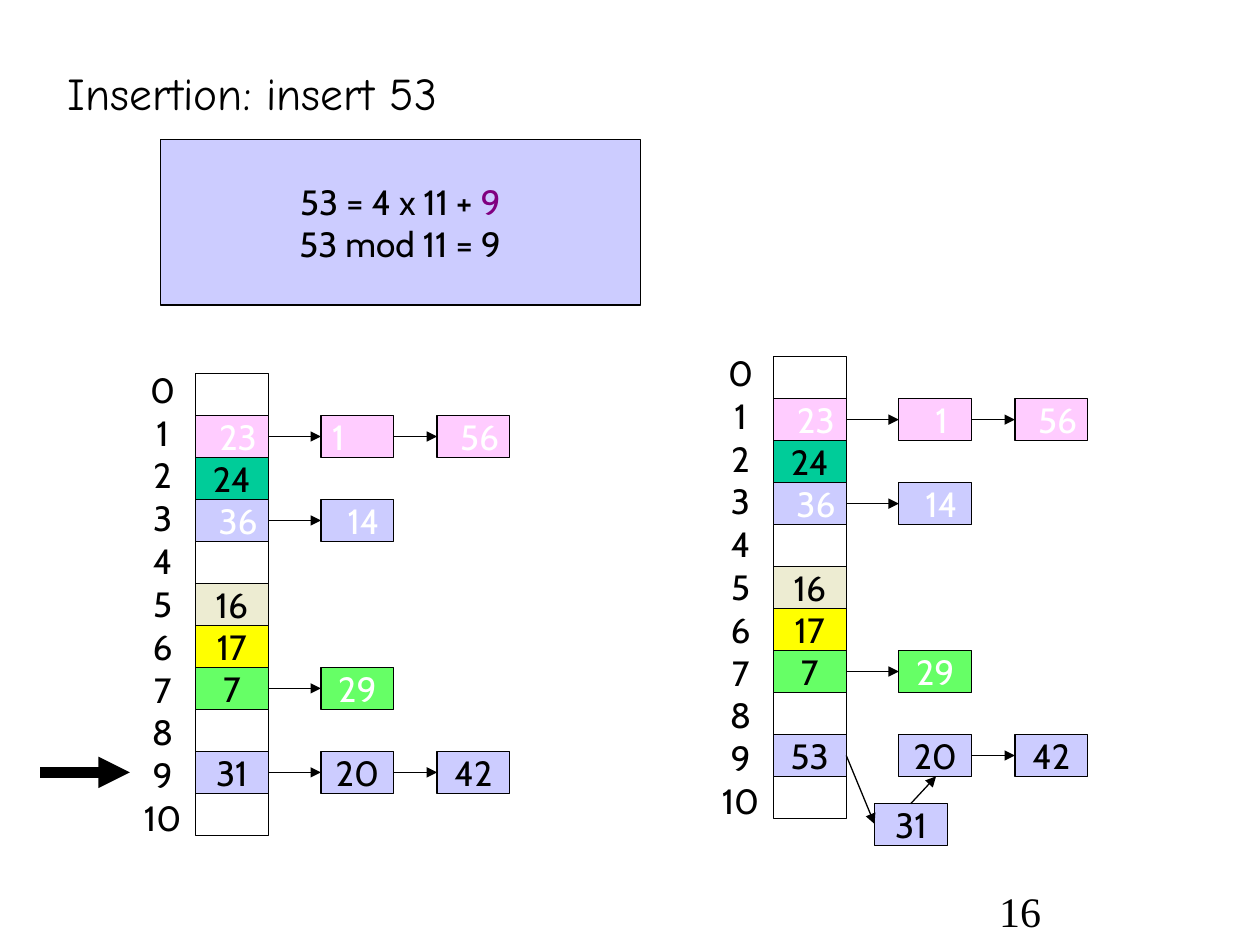
from dataclasses import dataclass

from lxml import etree
from pptx import Presentation
from pptx import util as u
from pptx.dml.color import RGBColor
from pptx.enum import shapes, text
from pptx.oxml.ns import qn


@dataclass(frozen=True)
class Theme:
    black: str = "000000"
    white: str = "FFFFFF"
    purple: str = "800080"
    lavender: str = "CCCCFF"
    pink: str = "FFCCFF"
    teal: str = "00CC99"
    beige: str = "EDECD2"
    yellow: str = "FFFF00"
    green: str = "66FF66"
    body_font: str = "Cabin"
    title_font: str = "Comic Neue"
    number_font: str = "Times New Roman"
    body_size: int = 20
    title_size: int = 26
    number_size: int = 24
    thin: float = 0.75
    thick: float = 6


# Lengths in centimetres; insets are left, top, right, bottom
CELL_WIDTH, CELL_HEIGHT = 1.47, 0.85
COLUMN_HEIGHT = 9.31
ROWS = 11
PITCH = COLUMN_HEIGHT / ROWS
CHAIN_OFFSETS = (0, 2.53, 4.87)
EVEN = (0.25, 0.13, 0.25, 0.13)
SHIFTED_RIGHT = (0.25, 0.13, 0, 0.13)
SHIFTED_LEFT = (0.25, 0.13, 1.02, 0.13)


class SlideBuilder:
    def __init__(self, slide, theme):
        self.slide = slide
        self.theme = theme
        self.shapes = slide.shapes

    def begin_group(self):
        self.shapes = self.slide.shapes.add_group_shape().shapes

    def end_group(self):
        self.shapes = self.slide.shapes

    def set_text(self, shape, lines, font=None, size=None, insets=EVEN, wrap=False,
                 align=text.PP_ALIGN.CENTER, anchor=text.MSO_ANCHOR.MIDDLE, spacing=None):
        """Fill a shape with lines, each a list of (wording, colour) runs."""
        frame = shape.text_frame
        frame.word_wrap = wrap
        frame.vertical_anchor = anchor
        (frame.margin_left, frame.margin_top,
         frame.margin_right, frame.margin_bottom) = map(u.Cm, insets)
        for number, line in enumerate(lines):
            paragraph = frame.add_paragraph() if number else frame.paragraphs[0]
            paragraph.alignment = align
            if spacing:
                paragraph.line_spacing = spacing
            for wording, colour in line:
                run = paragraph.add_run()
                run.text = wording
                run.font.name = font or self.theme.body_font
                run.font.size = u.Pt(size or self.theme.body_size)
                run.font.color.rgb = RGBColor.from_string(colour)

    def text_box(self, left, top, width, height, lines, **style):
        shape = self.shapes.add_textbox(*map(u.Cm, (left, top, width, height)))
        self.set_text(shape, lines, **style)
        return shape

    def box(self, left, top, width, height, fill=None, lines=(), insets=EVEN):
        shape = self.shapes.add_shape(shapes.MSO_SHAPE.RECTANGLE,
                                      *map(u.Cm, (left, top, width, height)))
        shape.shadow.inherit = False
        if fill:
            shape.fill.solid()
            shape.fill.fore_color.rgb = RGBColor.from_string(fill)
        else:
            shape.fill.background()
        shape.line.color.rgb = RGBColor.from_string(self.theme.black)
        shape.line.width = u.Pt(self.theme.thin)
        self.set_text(shape, lines, insets=insets)

    def cell(self, left, top, value, fill, colour=None, insets=EVEN):
        self.box(left, top, CELL_WIDTH, CELL_HEIGHT, fill,
                 [[(value, colour or self.theme.black)]], insets)

    def arrow(self, start, end, width=None):
        connector = self.shapes.add_connector(shapes.MSO_CONNECTOR.STRAIGHT,
                                              *map(u.Cm, (*start, *end)))
        connector.line.color.rgb = RGBColor.from_string(self.theme.black)
        connector.line.width = u.Pt(width or self.theme.thin)
        properties = connector._element.spPr
        outline = properties.find(qn("a:ln"))
        etree.SubElement(outline, qn("a:tailEnd"), type="triangle")
        etree.SubElement(properties, qn("a:effectLst"))

    def hash_table(self, left, top, chains, unlinked=()):
        """Draw the buckets, their chains and the row numbers."""
        self.box(left, top, CELL_WIDTH, COLUMN_HEIGHT)
        for row, chain in chains.items():
            row_top = top + row * PITCH
            middle = row_top + PITCH / 2
            for place, node in enumerate(chain):
                node_left = left + CHAIN_OFFSETS[place]
                self.cell(node_left, row_top, *node)
                if place and (row, place) not in unlinked:
                    previous_right = left + CHAIN_OFFSETS[place - 1] + CELL_WIDTH
                    self.arrow((previous_right, middle), (node_left, middle))
        labels = [[(str(row), self.theme.black)] for row in range(ROWS)]
        shape = self.text_box(left - 1.33, top - 0.25, 1.34, 9.75, labels,
                              insets=(0.28, 0.13, 0.28, 0.13),
                              anchor=text.MSO_ANCHOR.TOP, spacing=1.02)
        shape.text_frame.auto_size = text.MSO_AUTO_SIZE.SHAPE_TO_FIT_TEXT


def make_chains(theme, one_insets, last_chain):
    def pale(value, fill, insets=SHIFTED_RIGHT):
        return value, fill, theme.white, insets

    return {
        1: [pale("23", theme.pink), pale("1", theme.pink, one_insets),
            pale("56", theme.pink)],
        2: [("24", theme.teal)],
        3: [pale("36", theme.lavender), pale("14", theme.lavender)],
        5: [("16", theme.beige)],
        6: [("17", theme.yellow)],
        7: [("7", theme.green), pale("29", theme.green, (0, 0, 0, 0))],
        9: [(value, theme.lavender) for value in last_chain],
    }


def main():
    theme = Theme()
    presentation = Presentation()
    presentation.slide_width, presentation.slide_height = u.Cm(25.4), u.Cm(19.05)
    slide = presentation.slides.add_slide(presentation.slide_layouts[6])
    builder = SlideBuilder(slide, theme)

    # Title and slide number
    corner = dict(wrap=True, align=text.PP_ALIGN.LEFT, anchor=text.MSO_ANCHOR.BOTTOM)
    builder.text_box(19.89, 18.21, 5.28, 0.79, [[("16", theme.black)]],
                     font=theme.number_font, size=theme.number_size, **corner)
    builder.text_box(1.12, 0.64, 21.59, 1.9, [[("Insertion: insert 53", theme.black)]],
                     font=theme.title_font, size=theme.title_size, **corner)

    # Hash calculation
    builder.box(3.23, 2.82, 9.68, 3.33, theme.lavender,
                [[("53 = 4 x 11 + ", theme.black), ("9", theme.purple)],
                 [("53 mod 11 = 9", theme.black)]])

    # Table before the insertion, with a pointer to row 9
    builder.begin_group()
    builder.hash_table(3.94, 7.53,
                       make_chains(theme, SHIFTED_LEFT, ["31", "20", "42"]))
    builder.end_group()
    builder.arrow((0.81, 15.57), (2.62, 15.57), theme.thick)

    # Table after the insertion: 53 heads the chain and 31 moves below
    builder.begin_group()
    builder.hash_table(15.59, 7.19,
                       make_chains(theme, SHIFTED_RIGHT, ["53", "20", "42"]),
                       unlinked={(9, 1)})
    builder.cell(17.63, 16.2, "31", theme.lavender)
    builder.arrow((17.06, 15.23), (17.63, 16.61))
    builder.arrow((18.36, 16.2), (18.87, 15.65))
    builder.end_group()

    presentation.save("out.pptx")


if __name__ == "__main__":
    main()
